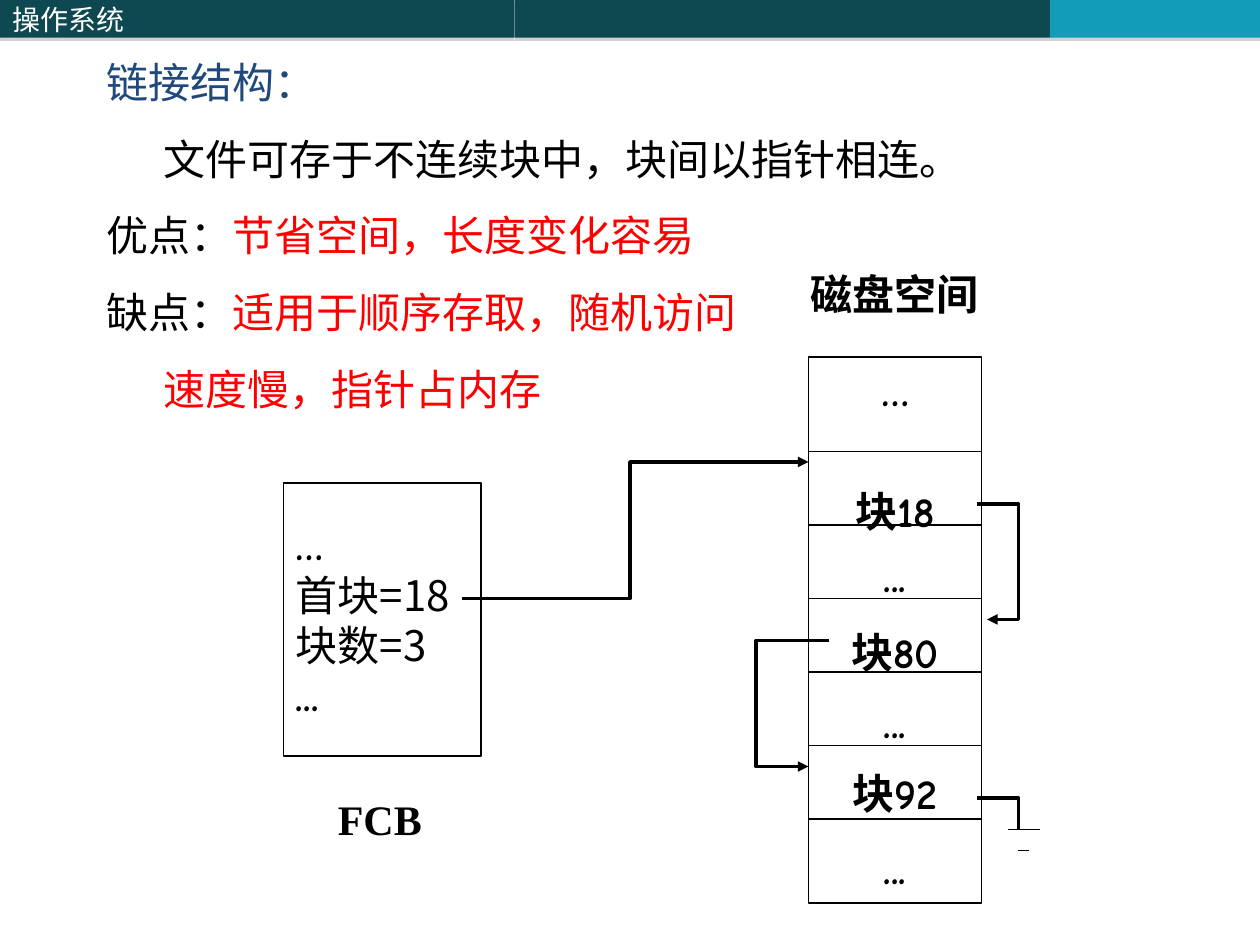
"""Build a slide on linked file allocation with an FCB and disk block diagram."""
from dataclasses import dataclass

from lxml import etree
from pptx import Presentation
from pptx.dml.color import RGBColor
from pptx.enum.shapes import MSO_CONNECTOR, MSO_SHAPE
from pptx.enum.text import MSO_ANCHOR, PP_ALIGN
from pptx.oxml.ns import qn
from pptx.util import Pt

RECTANGLE = MSO_SHAPE.RECTANGLE
STRAIGHT = MSO_CONNECTOR.STRAIGHT
TOP, MIDDLE = MSO_ANCHOR.TOP, MSO_ANCHOR.MIDDLE
LEFT, CENTER = PP_ALIGN.LEFT, PP_ALIGN.CENTER

BLACK = RGBColor(0x00, 0x00, 0x00)
WHITE = RGBColor(0xFF, 0xFF, 0xFF)
RED = RGBColor(0xFF, 0x00, 0x00)
NAVY = RGBColor(0x1F, 0x49, 0x7D)
DARK_TEAL = RGBColor(0x0E, 0x48, 0x51)
BRIGHT_TEAL = RGBColor(0x13, 0x9C, 0xB7)

SANS, COMIC, SERIF = "Noto Sans CJK SC", "Comic Neue", "Times New Roman"
THIN, THICK = 0.75, 2


@dataclass(frozen=True)
class Box:
    left: float
    top: float
    width: float
    height: float

    def lengths(self) -> tuple:
        return Pt(self.left), Pt(self.top), Pt(self.width), Pt(self.height)


@dataclass(frozen=True)
class Line:
    runs: tuple
    indent: float = 0
    spacing: float = 1
    font: str = SANS
    bold: bool = False


@dataclass(frozen=True)
class Route:
    points: tuple
    arrow: bool = True


HEADER = (
    (Box(0, 0, 294, 21.6), DARK_TEAL),
    (Box(294, 0, 306, 21.6), DARK_TEAL),
    (Box(600, 0, 120, 21.6), BRIGHT_TEAL),
)
EXPLANATION = (
    Line((("链接结构：", NAVY),)),
    Line((("文件可存于不连续块中，块间以指针相连。", BLACK),), indent=32.5),
    Line((("优点：", BLACK), ("节省空间，长度变化容易", RED))),
    Line((("缺点：", BLACK), ("适用于顺序存取，随机访问", RED))),
    Line((("速度慢，指针占内存", RED),), indent=32.5),
)
DISK = Box(462, 204, 99, 312)
DISK_LINES = tuple(
    Line(((text, BLACK),), spacing=spacing, font=COMIC, bold=True)
    for text, spacing in (
        ("…", 1.9), ("块18", 2.4), ("...", 1.3), ("块80", 1.5),
        ("...", 1.4), ("块92", 1.4), ("...", 1.5),
    )
)
FCB = Box(162, 276, 113, 156)
FCB_LINES = (
    Line((("…", BLACK),), font=COMIC, bold=True),
    Line((("首块=18", BLACK),)),
    Line((("块数=3", BLACK),)),
    Line((("...", BLACK),), font=COMIC, bold=True),
)
ROUTES = (
    Route(((264, 342), (360, 342), (360, 264), (462, 264))),
    Route(((558, 288), (582, 288), (582, 354), (564, 354))),
    Route(((474, 366), (432, 366), (432, 438), (462, 438))),
    Route(((558, 456), (582, 456), (582, 474)), arrow=False),
)


def write_text(shape, lines: tuple, *, size: float = 24, anchor=TOP, align=LEFT,
               wrap: bool = True, space_before: float = 0, bottom: float = 3.6) -> None:
    """Write lines into a shape with the given format."""
    frame = shape.text_frame
    frame.word_wrap = wrap
    frame.vertical_anchor = anchor
    frame.margin_left = frame.margin_right = Pt(7.2)
    frame.margin_top, frame.margin_bottom = Pt(3.6), Pt(bottom)
    for index, line in enumerate(lines):
        paragraph = frame.add_paragraph() if index else frame.paragraphs[0]
        paragraph.alignment = align
        paragraph.line_spacing = line.spacing
        paragraph.space_before = Pt(space_before if index else 0)
        if line.indent:
            paragraph._p.get_or_add_pPr().set("marL", str(Pt(line.indent)))
        for text, color in line.runs:
            run = paragraph.add_run()
            run.text = text
            run.font.size = Pt(size)
            run.font.bold = line.bold
            run.font.name = line.font
            run.font.color.rgb = color
            latin = run._r.rPr.find(qn("a:latin"))
            latin.addnext(latin.makeelement(qn("a:ea"), {"typeface": SANS}))


def add_header_bar(slide, box: Box, color: RGBColor):
    """Add a filled bar with a soft edge below it."""
    shape = slide.shapes.add_shape(RECTANGLE, *box.lengths())
    shape.fill.solid()
    shape.fill.fore_color.rgb = color
    shape.line.fill.background()
    shape.shadow.inherit = False
    effects = shape._element.spPr.find(qn("a:effectLst"))
    shadow = etree.SubElement(effects, qn("a:outerShdw"), blurRad="0",
                              dist=str(Pt(1.8)), dir="5400000", rotWithShape="0")
    shade = etree.SubElement(shadow, qn("a:srgbClr"), val="808080")
    etree.SubElement(shade, qn("a:alpha"), val="35000")
    return shape


def add_frame(slide, box: Box):
    """Add an unfilled rectangle with a thin outline."""
    shape = slide.shapes.add_shape(RECTANGLE, *box.lengths())
    shape.fill.background()
    shape.line.color.rgb = BLACK
    shape.line.width = Pt(THIN)
    shape.shadow.inherit = False
    return shape


def add_rule(slide, left: float, right: float, top: float) -> None:
    """Add a thin horizontal line."""
    rule = slide.shapes.add_connector(STRAIGHT, Pt(left), Pt(top), Pt(right), Pt(top))
    rule.line.color.rgb = BLACK
    rule.line.width = Pt(THIN)
    etree.SubElement(rule._element.spPr, qn("a:effectLst"))


def add_route(slide, route: Route) -> None:
    """Add a thick bent pointer line."""
    start, *others = [(Pt(x), Pt(y)) for x, y in route.points]
    builder = slide.shapes.build_freeform(*start)
    builder.add_line_segments(others, close=False)
    shape = builder.convert_to_shape()
    shape.fill.background()
    shape.line.color.rgb = BLACK
    shape.line.width = Pt(THICK)
    shape.shadow.inherit = False
    if route.arrow:
        etree.SubElement(shape.line._get_or_add_ln(), qn("a:tailEnd"), type="triangle")


def add_text(slide, box: Box, lines: tuple, **text_format) -> None:
    """Add a text box."""
    write_text(slide.shapes.add_textbox(*box.lengths()), lines, **text_format)


def main() -> None:
    """Build and save the presentation."""
    presentation = Presentation()
    presentation.slide_width, presentation.slide_height = Pt(720), Pt(540)
    slide = presentation.slides.add_slide(presentation.slide_layouts[6])

    bars = [add_header_bar(slide, box, color) for box, color in HEADER]
    write_text(bars[0], (Line((("操作系统", WHITE),)),), size=16, anchor=MIDDLE)
    add_text(slide, Box(54, 28.8, 612, 212), EXPLANATION, space_before=15)

    write_text(add_frame(slide, DISK), DISK_LINES, anchor=MIDDLE, align=CENTER,
               wrap=False, bottom=31)
    for index in range(6):
        add_rule(slide, DISK.left, DISK.left + DISK.width, 258 + 42 * index)
    add_text(slide, Box(456, 150, 120, 36),
             (Line((("磁盘空间", BLACK),), font=SERIF, bold=True),))

    write_text(add_frame(slide, FCB), FCB_LINES, anchor=MIDDLE, wrap=False)
    add_text(slide, Box(168, 450, 114, 36),
             (Line((("FCB", BLACK),), indent=18, font=SERIF, bold=True),))

    for route in ROUTES:
        add_route(slide, route)
    add_rule(slide, 576, 594, 474)
    add_rule(slide, 582, 588, 486)
    presentation.save("out.pptx")


if __name__ == "__main__":
    main()
